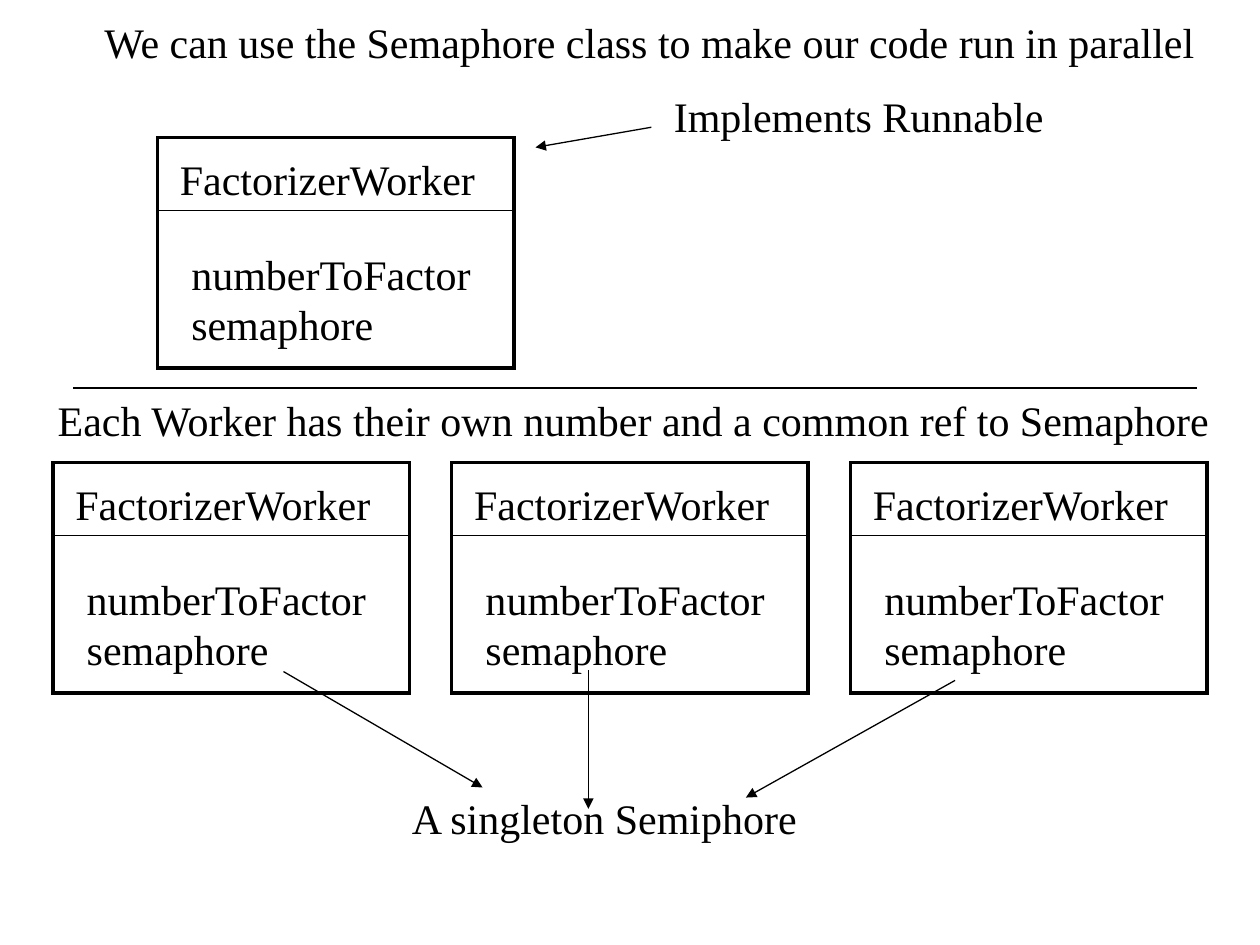
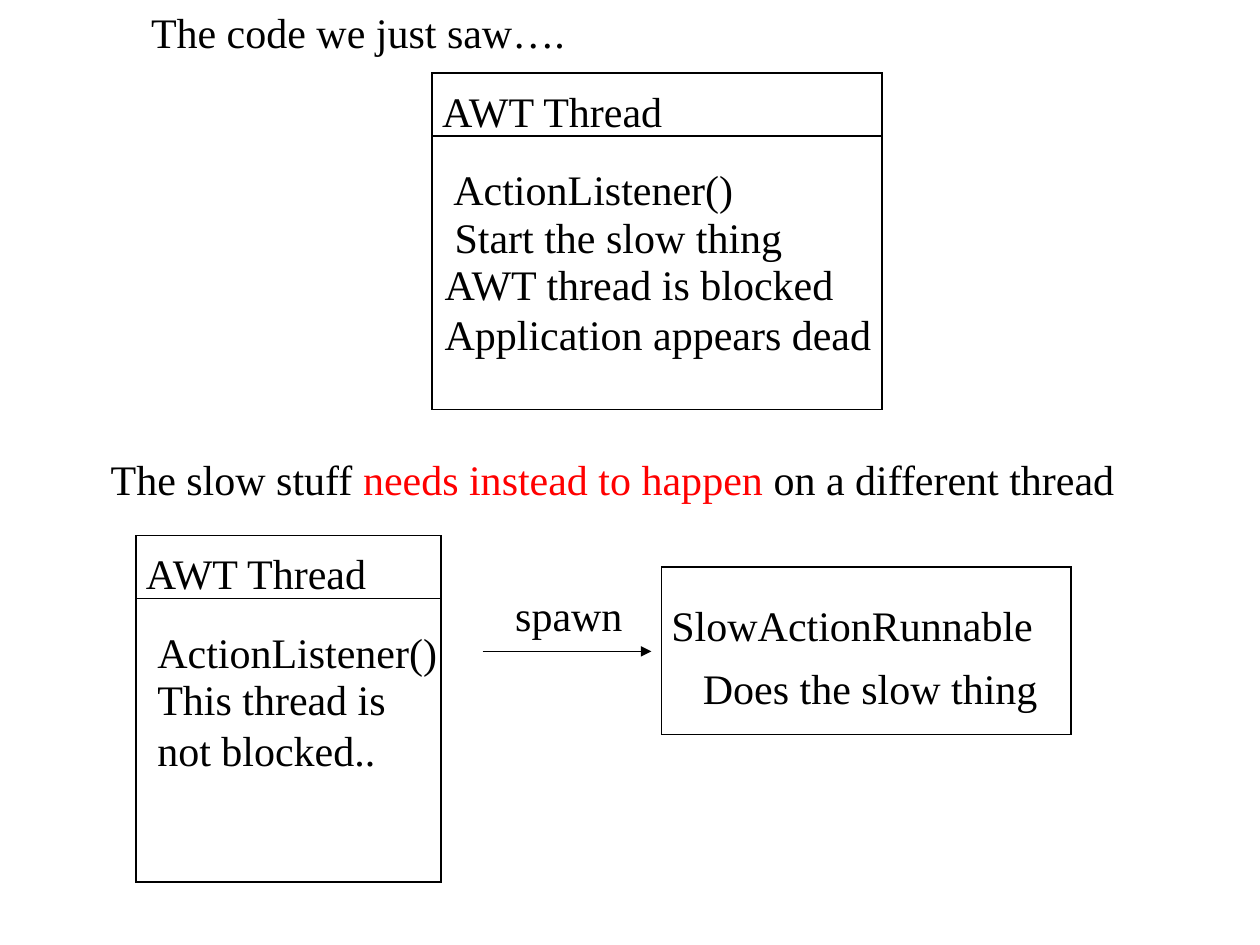
from lxml import etree
from pptx import Presentation
from pptx.dml.color import RGBColor
from pptx.enum.shapes import MSO_CONNECTOR as Connector, MSO_SHAPE as Shape
from pptx.enum.text import MSO_AUTO_SIZE as AutoSize
from pptx.oxml.ns import qn
from pptx.util import Inches, Pt

BLACK = RGBColor(0x00, 0x00, 0x00)
RED = RGBColor(0xFF, 0x00, 0x00)
BLANK_LAYOUT = 6


def add_run(paragraph, text, font="Times New Roman", size=24, color=BLACK):
    run = paragraph.add_run()
    run.text = text
    run.font.name = font
    run.font.size = Pt(size)
    run.font.color.rgb = color


class Diagram:
    """Holds the line style and the current slide."""

    thin, thick = 0.75, 2
    text_slack = 0.03  # keeps tightly measured lines from wrapping

    def __init__(self, presentation):
        self.presentation = presentation
        self.slide = None

    def new_slide(self):
        layout = self.presentation.slide_layouts[BLANK_LAYOUT]
        self.slide = self.presentation.slides.add_slide(layout)

    def text(self, left, top, width, *paragraphs):
        """Each paragraph is a string, or a list of (text, color) runs."""
        height = 0.1 + 0.4 * len(paragraphs)
        box = self.slide.shapes.add_textbox(
            Inches(left), Inches(top), Inches(width + self.text_slack), Inches(height))
        frame = box.text_frame
        frame.word_wrap = False
        frame.auto_size = AutoSize.SHAPE_TO_FIT_TEXT
        for index, content in enumerate(paragraphs):
            paragraph = frame.add_paragraph() if index else frame.paragraphs[0]
            runs = [(content, BLACK)] if isinstance(content, str) else content
            for words, color in runs:
                add_run(paragraph, words, color=color)

    def box(self, left, top, width, height, weight=thin):
        shape = self.slide.shapes.add_shape(
            Shape.RECTANGLE, Inches(left), Inches(top), Inches(width), Inches(height))
        shape.shadow.inherit = False
        shape.fill.background()
        shape.line.color.rgb = BLACK
        shape.line.width = Pt(weight)
        # Square corners
        etree.SubElement(shape.line._get_or_add_ln(), qn("a:miter"), lim="800000")

    def line(self, start, end, arrow=False):
        connector = self.slide.shapes.add_connector(
            Connector.STRAIGHT, *(Inches(value) for value in (*start, *end)))
        connector.line.color.rgb = BLACK
        connector.line.width = Pt(self.thin)
        if arrow:
            outline = connector.line._get_or_add_ln()
            etree.SubElement(outline, qn("a:tailEnd"), type="triangle")
        etree.SubElement(connector._element.spPr, qn("a:effectLst"))

    def divided_box(self, left, top, width, height, divider, weight=thin):
        self.box(left, top, width, height, weight)
        self.line((left, top + divider), (left + width, top + divider))

    def worker(self, left, top):
        self.divided_box(left, top, 2.83, 1.83, 0.58, self.thick)
        self.text(left + 0.08, top + 0.08, 2.57, "FactorizerWorker")
        self.text(left + 0.17, top + 0.83, 2.44, "numberToFactor", "semaphore")

    def awt_thread(self, left, top, width, height):
        self.divided_box(left, top, width, height, 0.5)
        self.text(left - 0.02, top + 0.05, 1.98, "AWT Thread")
        self.text(left + 0.07, top + 0.67, 2.42, "ActionListener()")


def build_semaphore_slide(diagram):
    diagram.new_slide()
    diagram.text(0.73, 0.08, 8.88,
                 "We can use the Semaphore class to make our code run in parallel")

    # Worker class
    diagram.worker(1.25, 1.09)
    diagram.text(5.25, 0.67, 3.13, "Implements Runnable")
    diagram.line((5.17, 1.01), (4.25, 1.17), arrow=True)

    # Three workers sharing one semaphore
    diagram.line((0.58, 3.08), (9.5, 3.08))
    diagram.text(0.36, 3.08, 9.37,
                 "Each Worker has their own number and a common ref to Semaphore")
    for column in range(3):
        diagram.worker(0.42 + 3.165 * column, 3.67)
    diagram.text(3.17, 6.24, 3.27, "A singleton Semiphore")
    for start, end in (((2.25, 5.33), (3.83, 6.25)),
                       ((4.67, 5.32), (4.67, 6.42)),
                       ((7.58, 5.4), (5.92, 6.33))):
        diagram.line(start, end, arrow=True)


def build_thread_slide(diagram):
    diagram.new_slide()

    # Blocked thread
    diagram.text(1.1, 0, 3.48, "The code we just saw….")
    diagram.awt_thread(3.43, 0.58, 3.57, 2.67)
    diagram.text(3.51, 1.63, 2.8, "Start the slow thing")
    diagram.text(3.43, 2, 3.59, "AWT thread is blocked", "Application appears dead")

    # Work moved to a spawned thread
    diagram.text(0.78, 3.55, 8.18, [("The slow stuff ", BLACK),
                                    ("needs instead to happen ", RED),
                                    ("on a different thread", BLACK)])
    diagram.awt_thread(1.08, 4.25, 2.42, 2.75)
    diagram.text(1.15, 5.3, 2.1, "This thread is", "not blocked..")
    diagram.text(3.99, 4.63, 1.05, "spawn")
    diagram.line((3.83, 5.17), (5.17, 5.17), arrow=True)
    diagram.box(5.25, 4.5, 3.25, 1.33)
    diagram.text(5.23, 4.71, 3.07, "SlowActionRunnable")
    diagram.text(5.48, 5.21, 2.85, "Does the slow thing")


def main():
    presentation = Presentation()
    presentation.slide_width = Inches(10)
    presentation.slide_height = Inches(7.5)
    diagram = Diagram(presentation)
    build_semaphore_slide(diagram)
    build_thread_slide(diagram)
    presentation.save("out.pptx")


if __name__ == "__main__":
    main()
